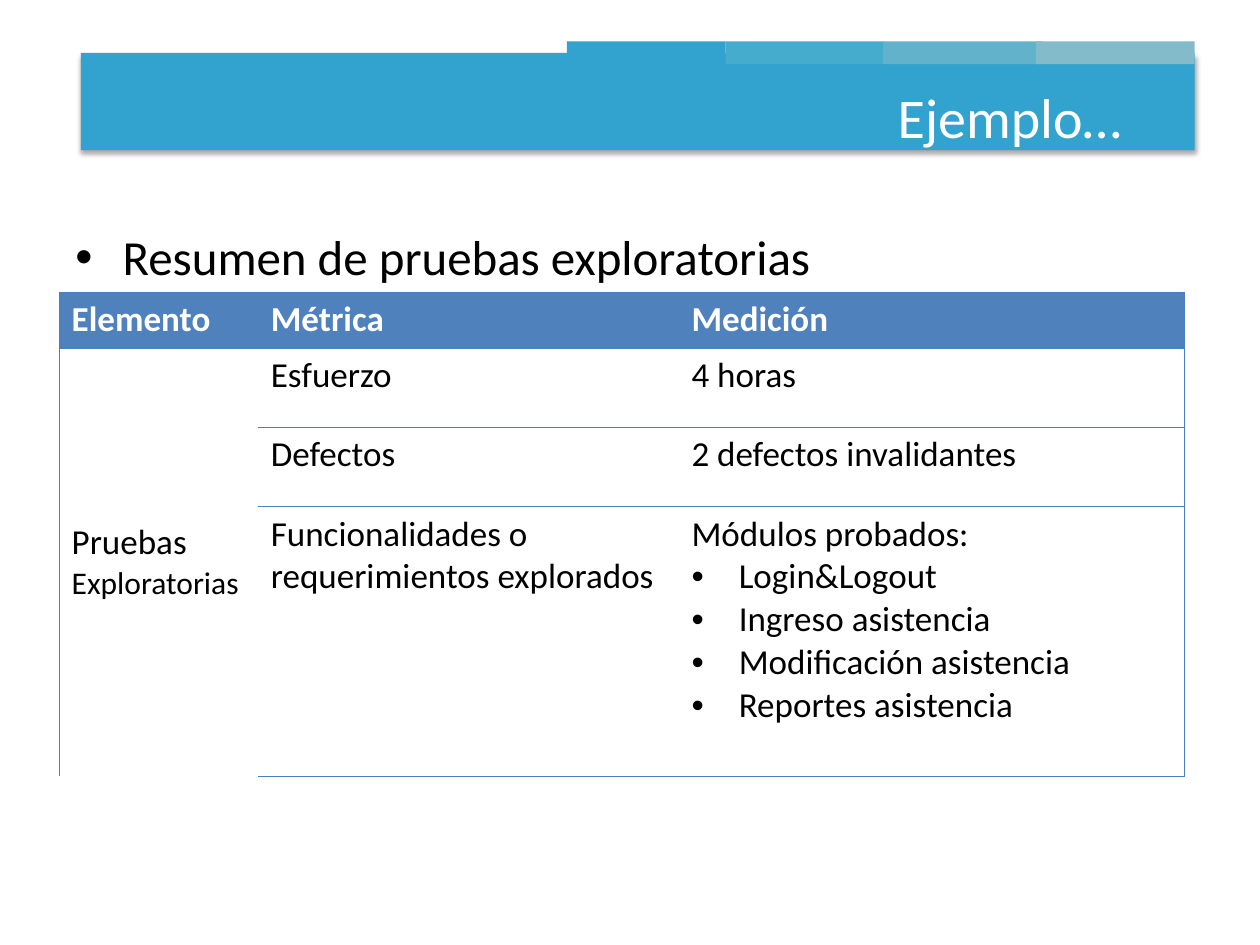
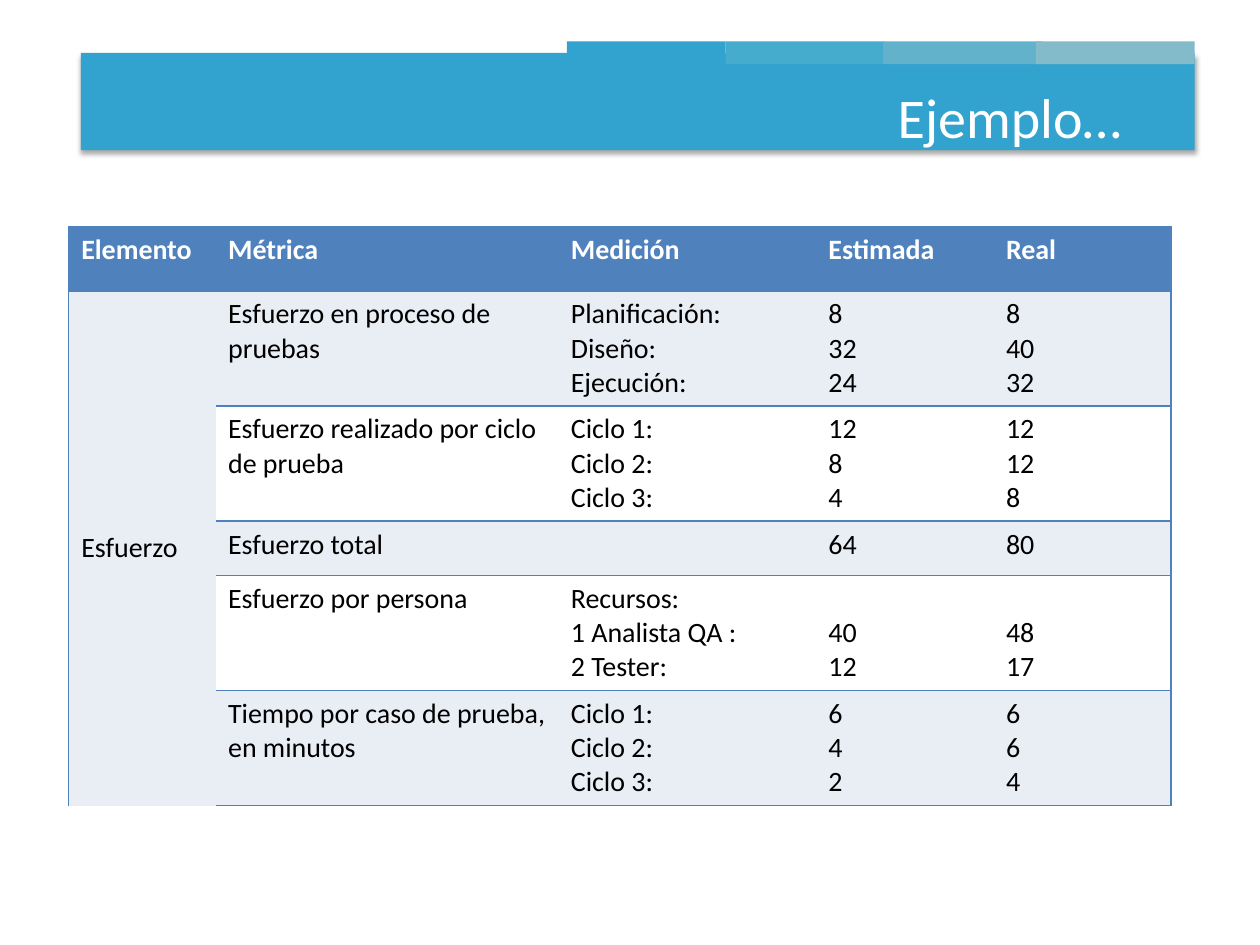
from lxml import etree
from pptx import Presentation
from pptx.dml.color import RGBColor
from pptx.enum.shapes import MSO_SHAPE
from pptx.enum.text import MSO_ANCHOR, PP_ALIGN
from pptx.oxml import parse_xml
from pptx.oxml.ns import nsdecls, qn
from pptx.util import Pt

RECTANGLE = MSO_SHAPE.RECTANGLE
TOP, MIDDLE, BOTTOM = MSO_ANCHOR.TOP, MSO_ANCHOR.MIDDLE, MSO_ANCHOR.BOTTOM
RIGHT = PP_ALIGN.RIGHT

FONT = "Calibri"
COLORS = {
    "band": "32A3CE",
    "tab2": "45ACCD",
    "tab3": "62B2CB",
    "tab4": "83BBCA",
    "white": "FFFFFF",
    "black": "000000",
    "header": "4F81BD",
    "stripe": "E9EDF4",
    "summary_line": "4B7EBC",
}

BAND_BOX = (46.2, 30.2, 636.5, 55.6)
TITLE_BOX = (0, 21.6, 648, 90)
TAB_OFFSETS = {"band": 277.8, "tab2": 368.5, "tab3": 458.5, "tab4": 545.8}
TAB_WIDTH, TAB_HEIGHT, TAB_RISE = 90.7, 13, 6.5
BULLET_INDENT = 27

SUMMARY_BOX = (33.8, 167, 643, 276.6)
SUMMARY_COLUMNS = (113.8, 240.4, 288.8)
SUMMARY_ROWS = (32, 45.2, 45.2, 154.2)
SUMMARY = [
    ["Elemento", "Métrica", "Medición"],
    ["Pruebas ", "Esfuerzo", "4 horas"],
    ["", "Defectos", "2 defectos invalidantes"],
    ["", "Funcionalidades o requerimientos explorados",
     "Módulos probados:\n• Login&Logout\n• Ingreso asistencia\n"
     "• Modificación asistencia\n• Reportes asistencia"],
]

EFFORT_BOX = (39.3, 129.6, 630, 331)
EFFORT_COLUMNS = (83.9, 195.9, 147.2, 101.5, 101.5)
EFFORT_ROWS = (36.6, 65.8, 65.8, 31, 65.8, 65.8)
CYCLES = "Ciclo 1:\nCiclo 2:\nCiclo 3:"
EFFORT = [
    ["Elemento", "Métrica", "Medición", "Estimada", "Real"],
    ["Esfuerzo", "Esfuerzo en proceso de pruebas",
     "Planificación:\nDiseño:\nEjecución:", "8\n32\n24", "8\n40\n32"],
    ["", "Esfuerzo realizado por ciclo de prueba", CYCLES, "12\n8\n4", "12\n12\n8"],
    ["", "Esfuerzo total", "", "64", "80"],
    ["", "Esfuerzo por persona", "Recursos:\n1 Analista QA :\n2 Tester:",
     "40\n12", "48\n17"],
    ["", "Tiempo por caso de prueba, en minutos", CYCLES, "6\n4\n2", "6\n6\n4"],
]


def rgb(name):
    return RGBColor.from_string(COLORS[name])


def points(box):
    return [Pt(length) for length in box]


def style(paragraph, size, color, bold=False):
    font = paragraph.font
    font.name, font.size, font.bold = FONT, Pt(size), bold
    font.color.rgb = rgb(color)


def add_bullet(paragraph):
    properties = paragraph._p.get_or_add_pPr()
    properties.set("marL", str(Pt(BULLET_INDENT)))
    properties.set("indent", str(-Pt(BULLET_INDENT)))
    etree.SubElement(properties, qn("a:buFont")).set("typeface", "Arial")
    etree.SubElement(properties, qn("a:buChar")).set("char", "•")


def add_text(slide, box, text, size, color, anchor=TOP):
    frame = slide.shapes.add_textbox(*points(box)).text_frame
    frame.word_wrap = True
    frame.vertical_anchor = anchor
    paragraph = frame.paragraphs[0]
    paragraph.text = text
    return paragraph, lambda: style(paragraph, size, color)


def add_block(slide, box, color):
    block = slide.shapes.add_shape(RECTANGLE, *points(box))
    block.shadow.inherit = False
    block.fill.solid()
    block.fill.fore_color.rgb = rgb(color)
    block.line.fill.background()
    return block


def add_heading(slide, box, title):
    left, top, width, height = box
    band = add_block(slide, box, "band")
    band._element.spPr.find(qn("a:effectLst")).append(parse_xml(
        f'<a:outerShdw {nsdecls("a")} blurRad="{Pt(3.1)}" dist="{Pt(1.8)}" '
        f'dir="5400000" rotWithShape="0"><a:srgbClr val="{COLORS["black"]}">'
        '<a:alpha val="35000"/></a:srgbClr></a:outerShdw>'))
    for color, offset in TAB_OFFSETS.items():
        add_block(slide, (left + offset, top - TAB_RISE, TAB_WIDTH, TAB_HEIGHT), color)
    paragraph, apply_style = add_text(slide, TITLE_BOX, title, 32, "white", MIDDLE)
    paragraph.alignment = RIGHT
    apply_style()


def set_borders(cell, visible, color, width):
    properties = cell._tc.get_or_add_tcPr()
    for side in "LRTB":
        line = etree.SubElement(properties, qn(f"a:ln{side}"))
        if side in visible:
            line.set("w", str(Pt(width)))
            fill = etree.SubElement(line, qn("a:solidFill"))
            etree.SubElement(fill, qn("a:srgbClr")).set("val", COLORS[color])
        else:
            line.set("w", "0")
            etree.SubElement(line, qn("a:noFill"))


def fill_cell(cell, text, size, color, bold):
    cell.text_frame.text = text.replace("• ", "")
    for paragraph, line in zip(cell.text_frame.paragraphs, text.split("\n")):
        if line.startswith("•"):
            add_bullet(paragraph)
        style(paragraph, size, color, bold)


def add_metrics(slide, box, rows, widths, heights, size, stripes, border):
    table = slide.shapes.add_table(len(rows), len(widths), *points(box)).table
    table.first_row = table.horz_banding = False
    for column, width in zip(table.columns, widths):
        column.width = Pt(width)
    for row, height in zip(table.rows, heights):
        row.height = Pt(height)
    last_row, last_column = len(rows) - 1, len(widths) - 1
    for r, texts in enumerate(rows):
        for c, text in enumerate(texts):
            cell = table.cell(r, c)
            visible = "L" * (c == 0) + "R" * (c == last_column)
            visible += "T" * (c > 0 or r < 2) + "B" * (c > 0 or r in (0, last_row))
            set_borders(cell, visible, *border)
            background = "header" if r == 0 else stripes[0 if c == 0 else (r - 1) % 2]
            if background:
                cell.fill.solid()
                cell.fill.fore_color.rgb = rgb(background)
            else:
                cell.fill.background()
            fill_cell(cell, text, size, "white" if r == 0 else "black", r == 0)
    element = table.cell(1, 0)
    element.merge(table.cell(last_row, 0))
    element.vertical_anchor = MIDDLE
    return table


def build_summary(slide):
    add_heading(slide, BAND_BOX, "Ejemplo…")
    table = add_metrics(slide, SUMMARY_BOX, SUMMARY, SUMMARY_COLUMNS, SUMMARY_ROWS,
                        20, (None, None), ("summary_line", 0.75))
    second_word = table.cell(1, 0).text_frame.paragraphs[0].add_run()
    second_word.text = "Exploratorias"
    second_word.font.size = Pt(18)
    paragraph, apply_style = add_text(
        slide, (36, 126, 648, 356.4), "Resumen de pruebas exploratorias", 28, "black")
    add_bullet(paragraph)
    apply_style()


def build_effort(slide):
    add_heading(slide, BAND_BOX, "Ejemplo…")
    table = add_metrics(slide, EFFORT_BOX, EFFORT, EFFORT_COLUMNS, EFFORT_ROWS,
                        16, ("stripe", "white"), ("header", 1))
    for column in (3, 4):
        table.cell(4, column).vertical_anchor = BOTTOM


def main():
    deck = Presentation()
    deck.slide_width, deck.slide_height = Pt(720), Pt(540)
    for build in (build_summary, build_effort):
        build(deck.slides.add_slide(deck.slide_layouts[6]))
    deck.save("out.pptx")


if __name__ == "__main__":
    main()
